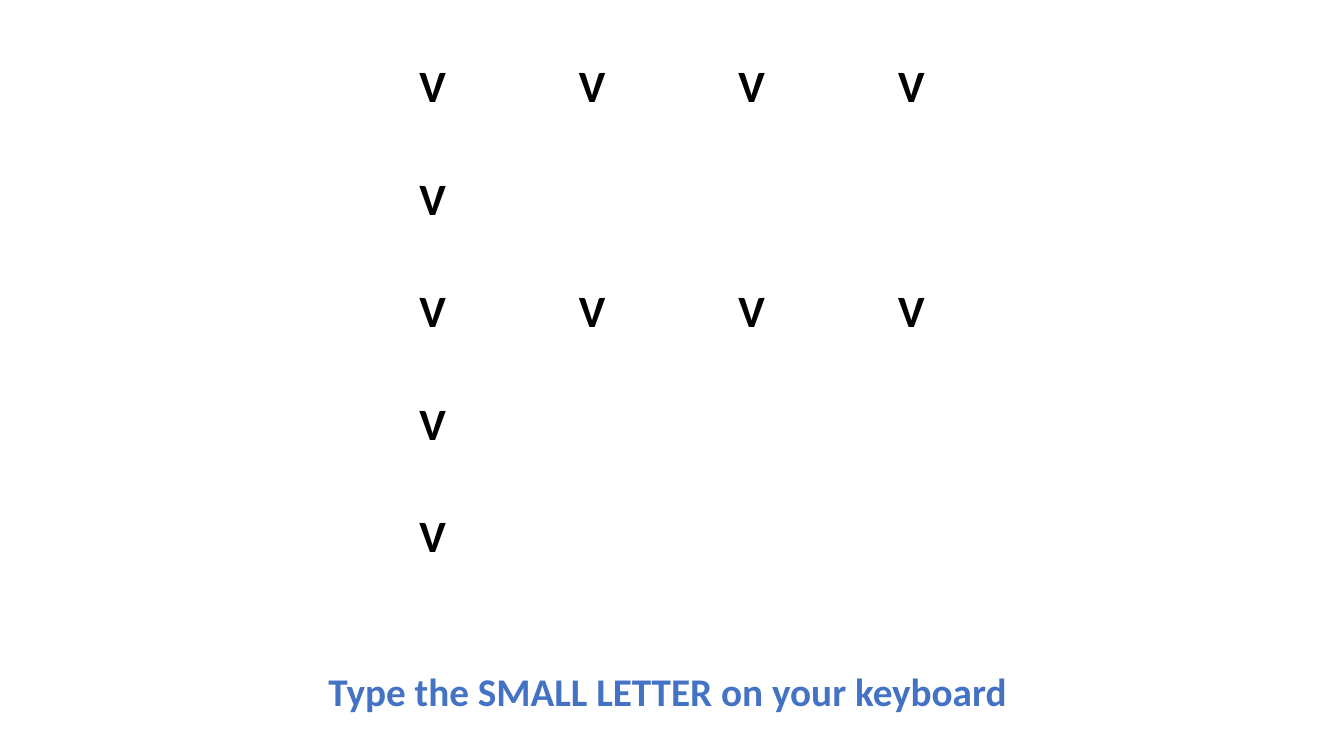
from dataclasses import dataclass

from pptx import Presentation
from pptx.dml.color import RGBColor
from pptx.enum.text import MSO_ANCHOR, MSO_AUTO_SIZE, PP_ALIGN
from pptx.util import Pt


@dataclass(frozen=True)
class TextStyle:
    size: float
    color: str
    align: PP_ALIGN
    line_spacing: float


LETTER = TextStyle(32, "000000", PP_ALIGN.CENTER, 1.07)
INSTRUCTION = TextStyle(28, "4472C4", PP_ALIGN.LEFT, 1.0)

# Each row of the letter grid, one character per cell
LETTER_ROWS = ["VVVV", "V   ", "VVVV", "V   ", "V   "]
COLUMN_WIDTH = 114
ROW_HEIGHT = 80.35


def rgb(color: str) -> RGBColor:
    return RGBColor.from_string(color)


def set_values(target, values: dict) -> None:
    for name, value in values.items():
        setattr(target, name, value)


def write(frame, text: str, style: TextStyle) -> None:
    para = frame.paragraphs[0]
    set_values(para, {"alignment": style.align, "line_spacing": style.line_spacing})
    span = para.add_run()
    span.text = text
    set_values(span.font, {"name": "Calibri", "size": Pt(style.size), "bold": True})
    span.font.color.rgb = rgb(style.color)


def add_letter_grid(page, left: float, top: float) -> None:
    row_count, column_count = len(LETTER_ROWS), len(LETTER_ROWS[0])
    table = page.shapes.add_table(
        row_count, column_count, Pt(left), Pt(top),
        Pt(column_count * COLUMN_WIDTH), Pt(row_count * ROW_HEIGHT),
    ).table
    set_values(table, {"first_row": False, "horz_banding": False})
    cell_format = {
        "margin_left": Pt(5), "margin_right": Pt(5),
        "margin_top": Pt(0), "margin_bottom": Pt(0),
        "vertical_anchor": MSO_ANCHOR.TOP,
    }
    for row, letters in enumerate(LETTER_ROWS):
        for column, letter in enumerate(letters):
            cell = table.cell(row, column)
            set_values(cell, cell_format)
            cell.fill.background()
            if letter.strip():
                write(cell.text_frame, letter, LETTER)


def add_instruction(page, text: str) -> None:
    box = page.shapes.add_textbox(Pt(227.5), Pt(473), Pt(505), Pt(41))
    set_values(box.text_frame, {
        "word_wrap": False, "auto_size": MSO_AUTO_SIZE.SHAPE_TO_FIT_TEXT,
    })
    write(box.text_frame, text, INSTRUCTION)


deck = Presentation()
set_values(deck, {"slide_width": Pt(960), "slide_height": Pt(540)})
page = deck.slides.add_slide(deck.slide_layouts[6])

# Letter grid, then the instruction below it
add_letter_grid(page, 252, 40.3)
add_instruction(page, "Type the SMALL LETTER on your keyboard")

deck.save("out.pptx")
